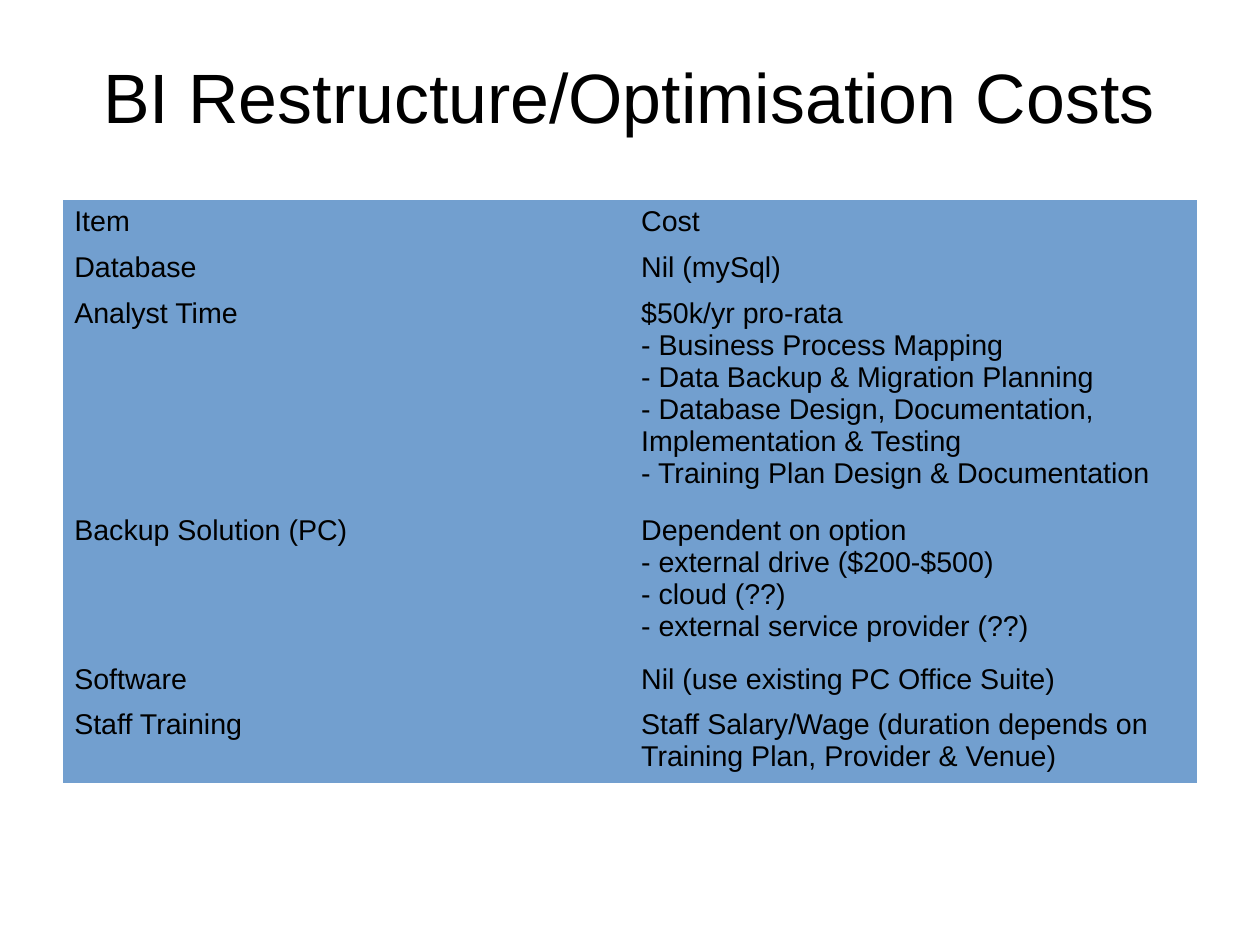
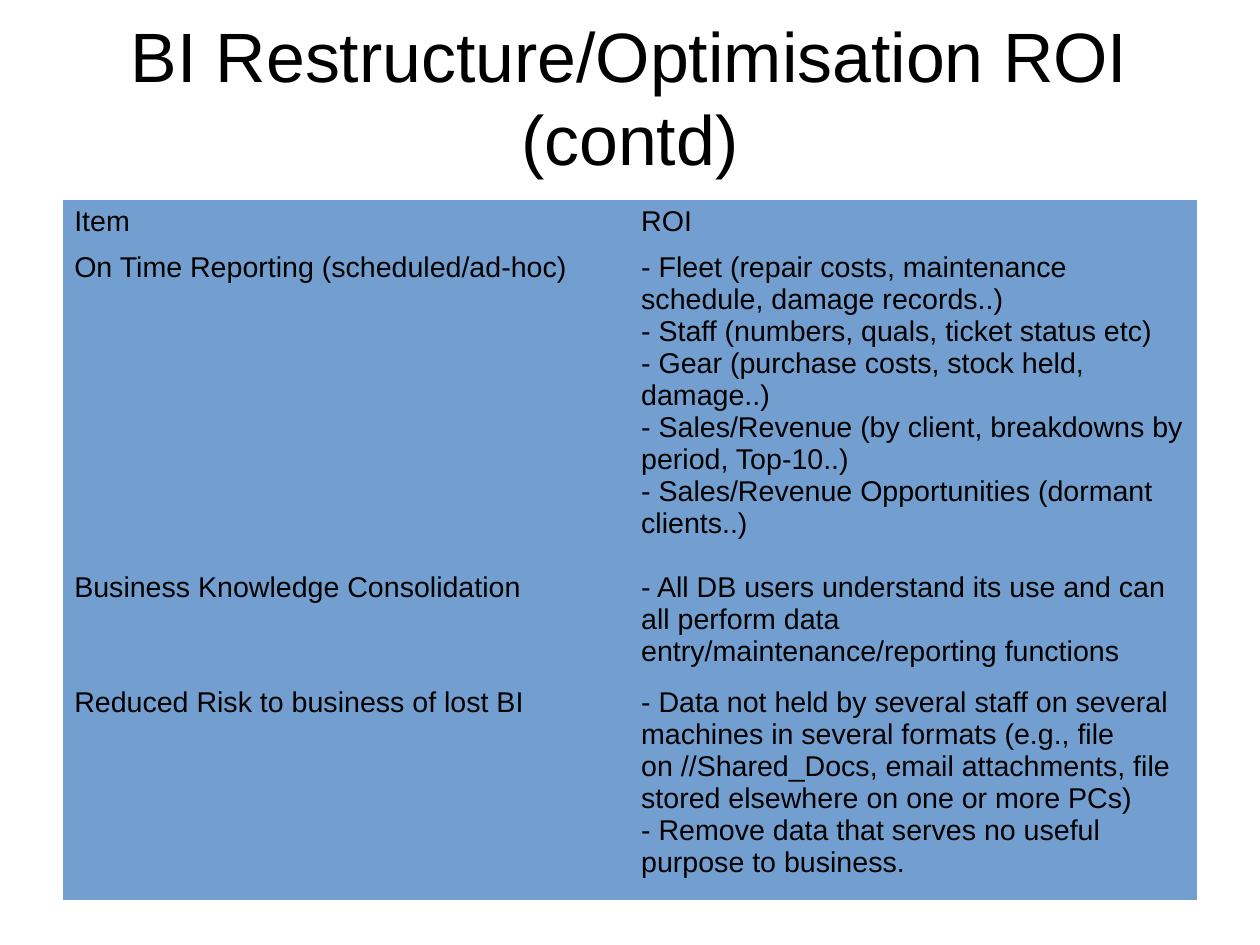
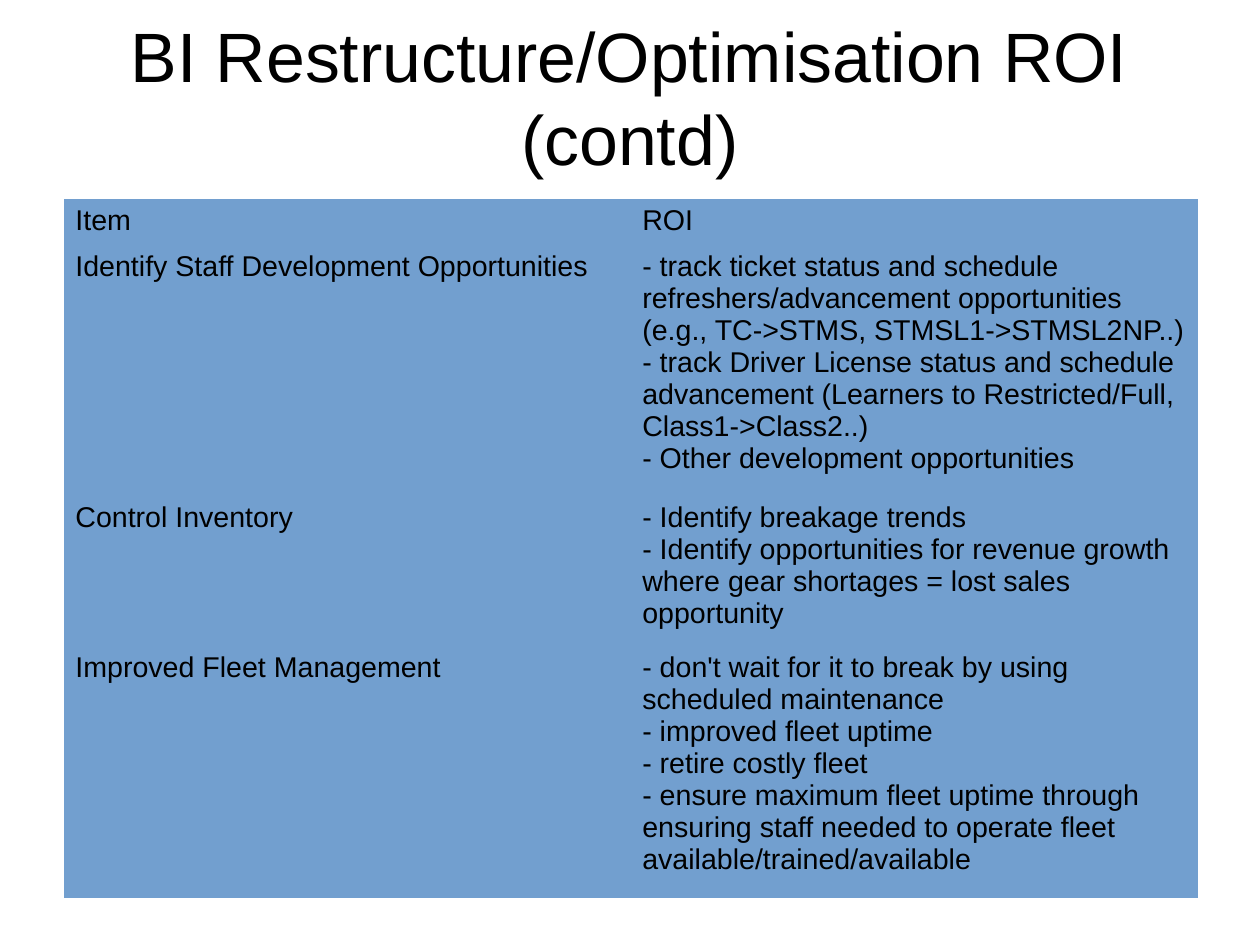
from dataclasses import dataclass

from pptx import Presentation
from pptx.dml.color import RGBColor
from pptx.enum import text as t
from pptx.util import Inches, Pt

BLACK = RGBColor(0x00, 0x00, 0x00)
BLUE = RGBColor(0x72, 0x9F, 0xCF)
FONT = "Arial"
LEFT, WIDTH = 0.55, 9.92
PLAIN = "{2D5ABB26-0587-4C30-8999-92F81FD0307C}"
STYLE = "{http://schemas.openxmlformats.org/drawingml/2006/main}tableStyleId"


@dataclass
class Row:
    high: float
    item: str
    value: str


@dataclass
class Page:
    title: str
    rows: list[Row]
    left: float = LEFT
    top: float = 1.75


PAGES = [
    Page("BI Restructure/Optimisation Costs", [
        Row(0.4, "Item", "Cost"),
        Row(0.4, "Database", "Nil (mySql)"),
        Row(1.9, "Analyst Time",
            "$50k/yr pro-rata\n"
            "- Business Process Mapping\n"
            "- Data Backup & Migration Planning\n"
            "- Database Design, Documentation, Implementation & Testing\n"
            "- Training Plan Design & Documentation"),
        Row(1.3, "Backup Solution (PC)",
            "Dependent on option\n"
            "- external drive ($200-$500)\n"
            "- cloud (??)\n"
            "- external service provider (??)"),
        Row(0.4, "Software", "Nil (use existing PC Office Suite)"),
        Row(0.7, "Staff Training",
            "Staff Salary/Wage (duration depends on Training Plan, Provider & Venue)"),
    ]),
    Page("BI Restructure/Optimisation ROI (contd)", [
        Row(0.4, "Item", "ROI"),
        Row(2.8, "On Time Reporting (scheduled/ad-hoc)",
            "- Fleet (repair costs, maintenance schedule, damage records..)\n"
            "- Staff (numbers, quals, ticket status etc)\n"
            "- Gear (purchase costs, stock held, damage..)\n"
            "- Sales/Revenue (by client, breakdowns by period, Top-10..)\n"
            "- Sales/Revenue Opportunities (dormant clients..)"),
        Row(1.01, "Business Knowledge Consolidation",
            "- All DB users understand its use and can all perform data "
            "entry/maintenance/reporting functions"),
        Row(1.91, "Reduced Risk to business of lost BI",
            "- Data not held by several staff on several machines in several "
            "formats (e.g., file on //Shared_Docs, email attachments, file "
            "stored elsewhere on one or more PCs)\n"
            "- Remove data that serves no useful purpose to business."),
    ]),
    Page("BI Restructure/Optimisation ROI (contd)", [
        Row(0.39, "Item", "ROI"),
        Row(2.2, "Identify Staff Development Opportunities",
            "- track ticket status and schedule refreshers/advancement "
            "opportunities (e.g., TC->STMS, STMSL1->STMSL2NP..)\n"
            "- track Driver License status and schedule advancement "
            "(Learners to Restricted/Full, Class1->Class2..)\n"
            "- Other development opportunities"),
        Row(1.31, "Control Inventory",
            "- Identify breakage trends\n"
            "- Identify opportunities for revenue growth where gear "
            "shortages = lost sales opportunity"),
        Row(2.21, "Improved Fleet Management",
            "- don't wait for it to break by using scheduled maintenance\n"
            "- improved fleet uptime\n"
            "- retire costly fleet\n"
            "- ensure maximum fleet uptime through ensuring staff needed to "
            "operate fleet available/trained/available"),
    ], left=0.56, top=1.74),
]


def write(frame, words: str, size: int, align) -> None:
    frame.text = words
    for para in frame.paragraphs:
        para.alignment = align
        for run in para.runs:
            run.font.name = FONT
            run.font.size = Pt(size)
            run.font.bold = False
            run.font.color.rgb = BLACK


def add_title(slide, words: str) -> None:
    box = slide.shapes.add_textbox(
        Inches(LEFT), Inches(0.15), Inches(WIDTH), Inches(1.38))
    frame = box.text_frame
    frame.word_wrap = True
    frame.vertical_anchor = t.MSO_ANCHOR.MIDDLE
    frame.margin_left = frame.margin_right = Inches(0)
    frame.margin_top = frame.margin_bottom = Inches(0)
    write(frame, words, 44, t.PP_ALIGN.CENTER)


def add_grid(slide, page: Page) -> None:
    total = sum(row.high for row in page.rows)
    grid = slide.shapes.add_table(
        len(page.rows), 2, Inches(page.left), Inches(page.top),
        Inches(WIDTH), Inches(total)).table
    grid.first_row = False
    grid.horz_banding = False
    grid._tbl.tblPr.find(STYLE).text = PLAIN
    for line, row in zip(grid.rows, page.rows):
        line.height = Inches(row.high)
        for cell, words in zip(line.cells, (row.item, row.value)):
            cell.fill.solid()
            cell.fill.fore_color.rgb = BLUE
            cell.margin_left = cell.margin_right = Inches(0.1)
            cell.margin_top = cell.margin_bottom = Inches(0.05)
            write(cell.text_frame, words, 18, t.PP_ALIGN.LEFT)


def main() -> None:
    deck = Presentation()
    deck.slide_width = Inches(28 / 2.54)
    deck.slide_height = Inches(21 / 2.54)
    for page in PAGES:
        slide = deck.slides.add_slide(deck.slide_layouts[6])
        add_title(slide, page.title)
        add_grid(slide, page)
    deck.save("out.pptx")


if __name__ == "__main__":
    main()
